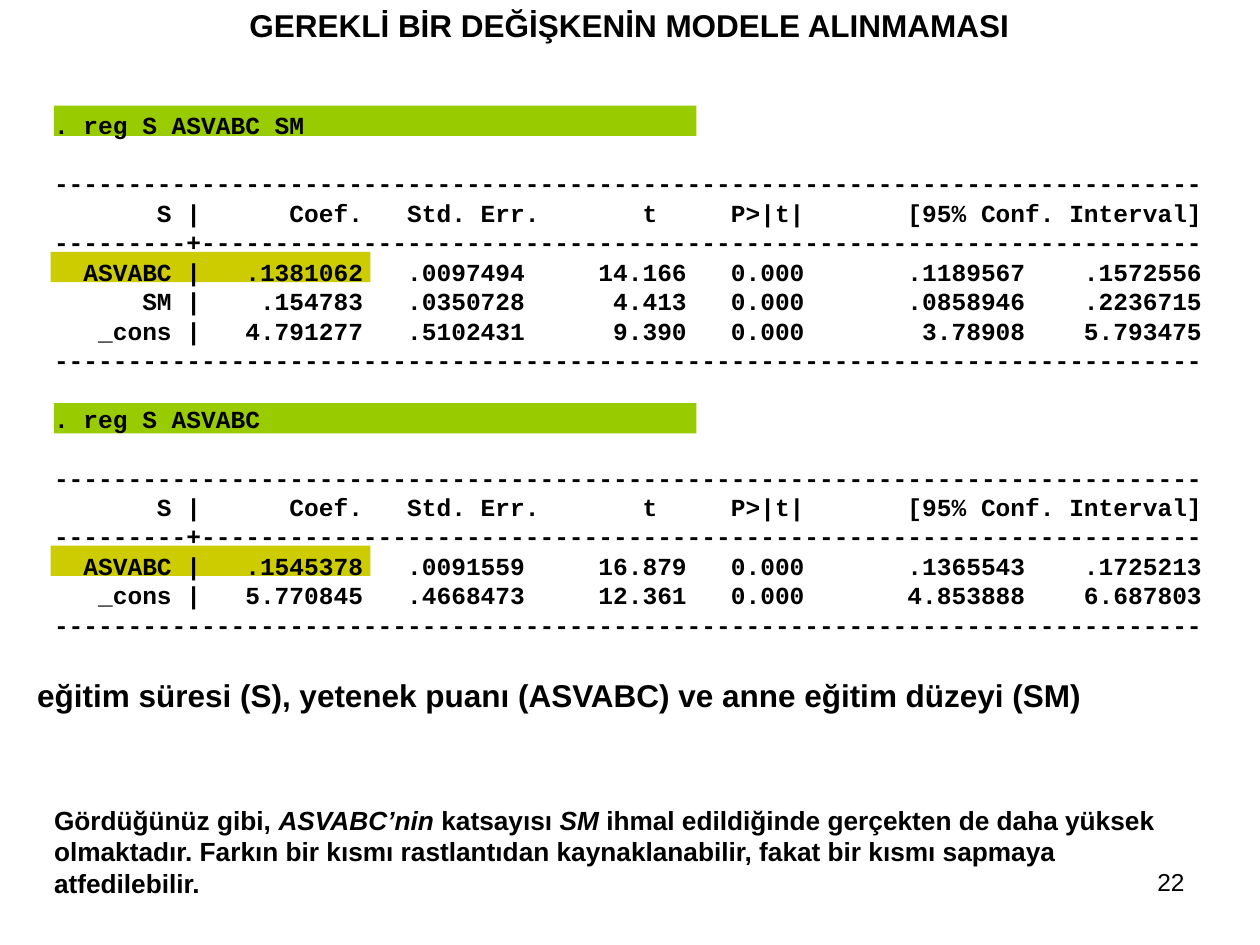
from pptx import Presentation
from pptx.dml.color import RGBColor
from pptx.enum.shapes import MSO_SHAPE
from pptx.enum.text import MSO_AUTO_SIZE, PP_ALIGN
from pptx.util import Cm, Pt

RECTANGLE = MSO_SHAPE.RECTANGLE
LEFT, CENTER, RIGHT = PP_ALIGN.LEFT, PP_ALIGN.CENTER, PP_ALIGN.RIGHT
FIT_SHAPE = MSO_AUTO_SIZE.SHAPE_TO_FIT_TEXT

THEME = {
    "text": RGBColor(0x00, 0x00, 0x00),
    "command": RGBColor(0x99, 0xCC, 0x00),
    "coefficient": RGBColor(0xCC, 0xCC, 0x00),
    "sans": "Arial",
    "mono": "Courier New",
    "heading": 18,
    "body": 15,
    "small": 14,
    "leading": 1.2,
}

# Content
TITLE = "GEREKLİ BİR DEĞİŞKENİN MODELE ALINMAMASI"
VARIABLES = "eğitim süresi (S), yetenek puanı (ASVABC) ve anne eğitim düzeyi (SM)"
COMMENT = [
    ("Gördüğünüz gibi, ", False),
    ("ASVABC’nin", True),
    (" katsayısı ", False),
    ("SM ", True),
    ("ihmal edildiğinde gerçekten de daha yüksek olmaktadır. Farkın bir kısmı "
     "rastlantıdan kaynaklanabilir, fakat bir kısmı sapmaya atfedilebilir.", False),
]
PAGE_NUMBER = "22"
HEADER = "       S |      Coef.   Std. Err.       t     P>|t|       [95% Conf. Interval]"
REGRESSIONS = [
    (". reg S ASVABC SM", [
        "  ASVABC |   .1381062   .0097494     14.166   0.000       .1189567    .1572556",
        "      SM |    .154783   .0350728      4.413   0.000       .0858946    .2236715",
        "   _cons |   4.791277   .5102431      9.390   0.000        3.78908    5.793475",
    ]),
    (". reg S ASVABC", [
        "  ASVABC |   .1545378   .0091559     16.879   0.000       .1365543    .1725213",
        "   _cons |   5.770845   .4668473     12.361   0.000       4.853888    6.687803",
    ]),
]
RULE = "-" * len(HEADER)
HEADER_RULE = "-" * 9 + "+" + "-" * (len(HEADER) - 10)

# Highlight bars in cm: colour, left, width, top of each bar
BARS = [
    ("coefficient", 1.02, 6.45, (5.08, 11.0)),
    ("command", 1.09, 12.95, (2.13, 8.13)),
]
BAR_HEIGHT = 0.61
MARGIN, TEXT_WIDTH = 0.84, 23.7


def add_box(page, left, top, width, height, wrap=True):
    box = page.shapes.add_textbox(Cm(left), Cm(top), Cm(width), Cm(height))
    box.text_frame.word_wrap = wrap
    return box.text_frame


def write(para, text, font="sans", size="small", bold=True, align=LEFT, before=0):
    """Fill a paragraph with a string or with (text, italic) spans."""
    para.alignment = align
    para.space_before = Pt(before)
    para.line_spacing = Pt(THEME[size] * THEME["leading"])
    for words, italic in [(text, False)] if isinstance(text, str) else text:
        span = para.add_run()
        span.text = words
        span.font.name = THEME[font]
        span.font.size = Pt(THEME[size])
        span.font.bold = bold
        span.font.italic = italic
        span.font.color.rgb = THEME["text"]


deck = Presentation()
deck.slide_width, deck.slide_height = Cm(25.4), Cm(19.05)
page = deck.slides.add_slide(deck.slide_layouts[6])

# Highlight bars behind the output
for colour, left, width, tops in BARS:
    for top in tops:
        bar = page.shapes.add_shape(RECTANGLE, Cm(left), Cm(top), Cm(width), Cm(BAR_HEIGHT))
        bar.shadow.inherit = False
        bar.fill.solid()
        bar.fill.fore_color.rgb = THEME[colour]
        bar.line.fill.background()

# Regression output: one empty line's worth of space around each command
output = add_box(page, MARGIN, 1.27, TEXT_WIDTH, 14)
output.margin_top = Cm(0.94)
gap = THEME["small"] * THEME["leading"]
para = output.paragraphs[0]
for index, (command, rows) in enumerate(REGRESSIONS):
    if index:
        para = output.add_paragraph()
    write(para, command, font="mono", before=gap if index else 0)
    for number, line in enumerate([RULE, HEADER, HEADER_RULE, *rows, RULE]):
        write(output.add_paragraph(), line, font="mono", before=0 if number else gap)

# Page number, comment, title and variable list
write(add_box(page, 18.2, 17.35, 5.93, 1.32).paragraphs[0], PAGE_NUMBER,
      bold=False, align=RIGHT)
write(add_box(page, MARGIN, 16.08, TEXT_WIDTH, 2.34).paragraphs[0], COMMENT, size="body")
write(add_box(page, MARGIN, 0, TEXT_WIDTH, 1.27).paragraphs[0], TITLE,
      size="heading", align=CENTER)
variables = add_box(page, 0.5, 13.51, 21.62, 1.02, wrap=False)
variables.auto_size = FIT_SHAPE
write(variables.paragraphs[0], VARIABLES, size="heading")

deck.save("out.pptx")
